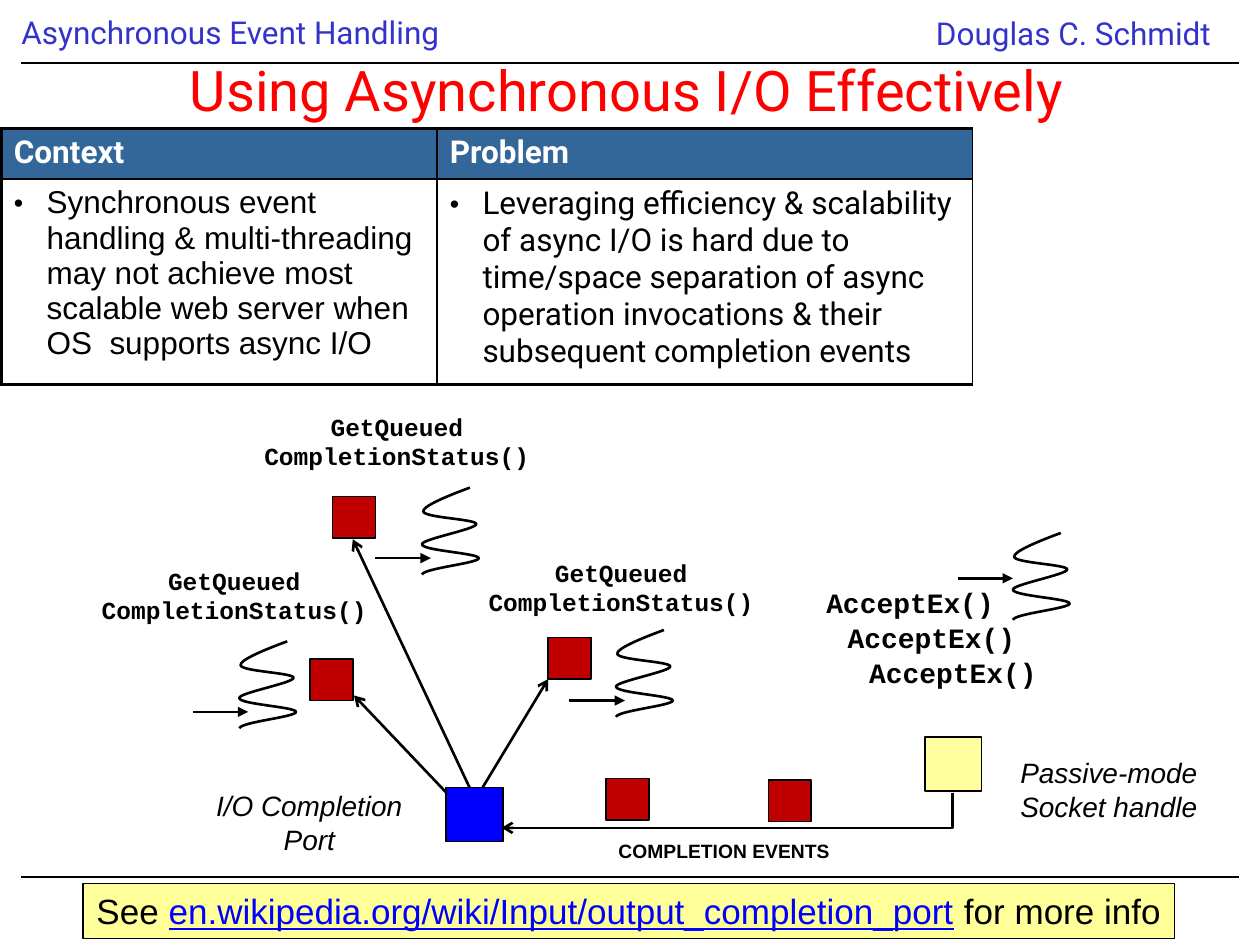
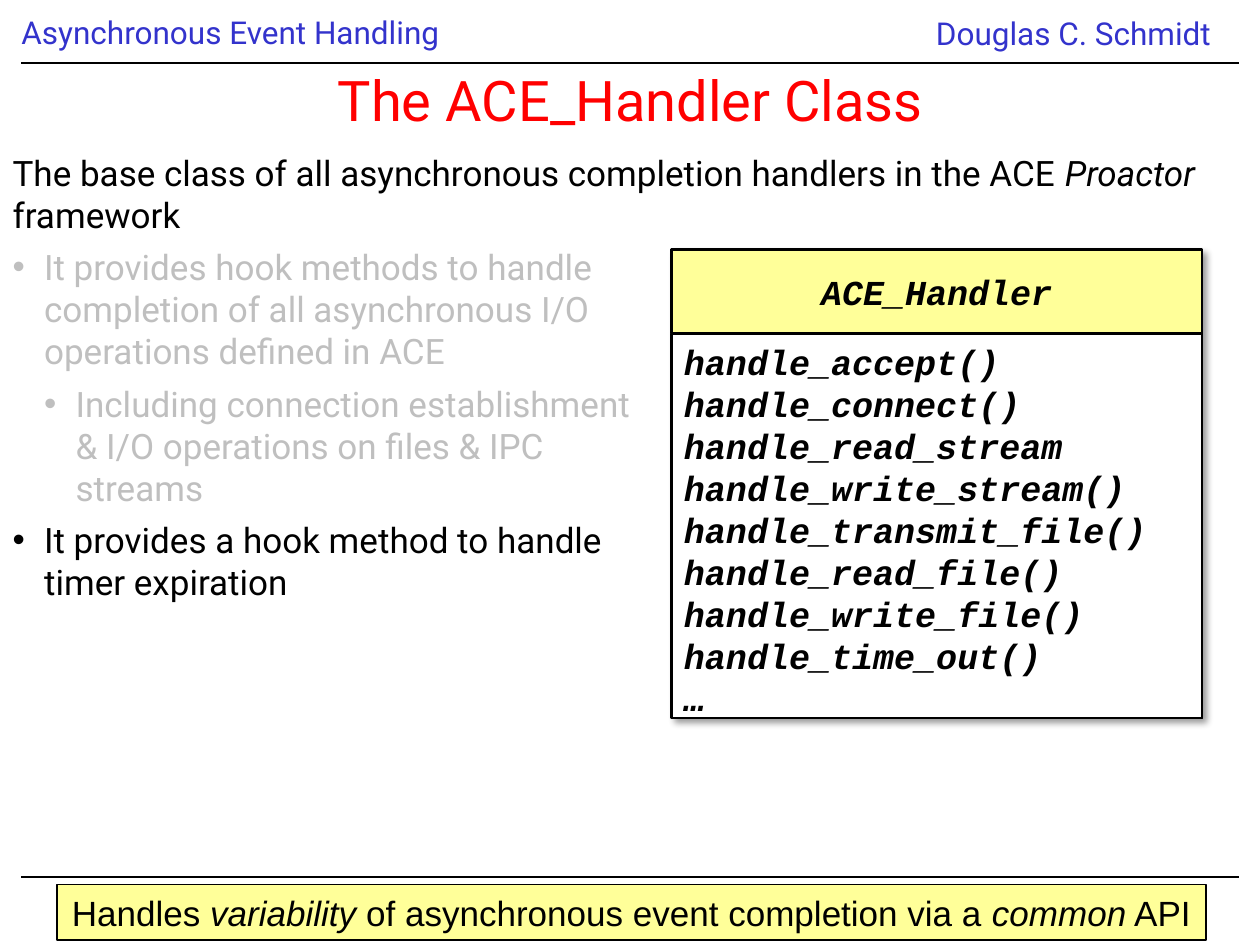
from lxml.etree import SubElement
from pptx import Presentation
from pptx.dml.color import RGBColor
from pptx.enum.shapes import MSO_CONNECTOR, MSO_SHAPE
from pptx.enum.text import MSO_ANCHOR, MSO_AUTO_SIZE, PP_ALIGN
from pptx.oxml import parse_xml
from pptx.oxml.ns import nsdecls, qn
from pptx.util import Inches, Pt

COLUMNS, ROWS = 100, 75  # square grid cells of a tenth of an inch
CELL = 0.1

BLACK, WHITE, RED, BLUE = "000000", "FFFFFF", "FF0000", "0000FF"
HEADER_BLUE, TABLE_BLUE = "3333CC", "336699"
EVENT_RED, PALE_YELLOW, FADED = "C00000", "FFFF99", "BFBFBF"

HEADER = dict(name="Roboto", size=18, color=HEADER_BLUE)
TITLE = dict(name="Roboto", size=32, color=RED)
BODY = dict(name="Roboto", size=20, color=BLACK)
COLUMN_HEAD = dict(name="Roboto", size=18, color=WHITE, bold=True)
CELL_TEXT = dict(name="Roboto", size=18, color=BLACK, bold=False)
CALLOUT = dict(name="Arial", size=20, color=BLACK)
CAPTION = dict(name="Arial", size=16, color=BLACK, italic=True)
EVENT_LABEL = dict(name="Arial", size=11, color=BLACK, bold=True)
CALL = dict(name="Courier New", size=14, color=BLACK, bold=True)
CLASS_CODE = dict(name="Courier New", size=20, color=BLACK, bold=True, italic=True)

EVENT_SIZE = (3.4, 3.3)
HANDLE_SIZE = (4.5, 4.3)
SQUIGGLE = [(3.9, 0), (2, 0.7), (0.1, 1.5), (0.2, 1.9), (0.3, 2.4), (4.5, 2.5),
            (4.4, 2.9), (4.4, 3.3), (0, 4.1), (0.1, 4.5), (0.1, 5), (4.6, 5.2),
            (4.6, 5.6), (4.6, 6), (0.2, 6.4), (0.1, 6.9)]


def grid(*cells):
    """Turn grid columns or rows into lengths."""
    return [Inches(cell * CELL) for cell in cells]


def rgb(color):
    return RGBColor.from_string(color)


def format_font(font, style):
    for attribute, value in style.items():
        if attribute == "color":
            font.color.rgb = rgb(value)
        else:
            setattr(font, attribute, Pt(value) if attribute == "size" else value)


def write_paragraph(paragraph, content, style, **layout):
    """Fill a paragraph with a string, or with (text, style changes) pairs."""
    for attribute, value in layout.items():
        setattr(paragraph, attribute, value)
    for text, changes in [(content, {})] if isinstance(content, str) else content:
        for number, line in enumerate(text.split("\n")):
            if number:
                paragraph.add_line_break()
            run = paragraph.add_run()
            run.text = line
            format_font(run.font, {**style, **changes})


def write(frame, contents, style, **layout):
    paragraphs = [frame.paragraphs[0]] + [frame.add_paragraph() for _ in contents[1:]]
    for paragraph, content in zip(paragraphs, contents):
        write_paragraph(paragraph, content, style, **layout)
    return paragraphs


def set_bullet(paragraph, hang, level=1, percent=100):
    properties = paragraph._p.get_or_add_pPr()
    properties.set("marL", str(Inches(hang * level)))
    properties.set("indent", str(-Inches(hang)))
    SubElement(properties, qn("a:buSzPct"), val=str(percent * 1000))
    SubElement(properties, qn("a:buFont"), typeface="Arial")
    SubElement(properties, qn("a:buChar"), char="•")


def add_text(slide, box, contents, style, wrap=True, margin=None, **layout):
    frame = slide.shapes.add_textbox(*grid(*box)).text_frame
    frame.word_wrap = wrap
    frame.auto_size = MSO_AUTO_SIZE.NONE if wrap else MSO_AUTO_SIZE.SHAPE_TO_FIT_TEXT
    if margin is not None:
        frame.margin_left = frame.margin_right = margin
    write(frame, contents, style, **layout)


def add_box(slide, box, fill, line_width=None):
    shape = slide.shapes.add_shape(MSO_SHAPE.RECTANGLE, *grid(*box))
    shape.shadow.inherit = False
    shape.fill.solid()
    shape.fill.fore_color.rgb = rgb(fill)
    if line_width is None:
        shape.line.fill.background()
    else:
        shape.line.color.rgb = rgb(BLACK)
        shape.line.width = Pt(line_width)
    return shape


def add_text_box(slide, box, fill, line_width, contents, style,
                 anchor=MSO_ANCHOR.MIDDLE, alignment=PP_ALIGN.CENTER):
    frame = add_box(slide, box, fill, line_width).text_frame
    frame.word_wrap = True
    frame.vertical_anchor = anchor
    write(frame, contents, style, alignment=alignment)


def add_shadow(shape):
    shape.element.spPr.find(qn("a:effectLst")).append(parse_xml(
        f'<a:outerShdw {nsdecls("a")} blurRad="{Pt(4)}" dist="{Pt(3)}" dir="2700000">'
        f'<a:srgbClr val="{BLACK}"><a:alpha val="40000"/></a:srgbClr></a:outerShdw>'))


def add_line(slide, start, end, width=1.5, head=None, kind=MSO_CONNECTOR.STRAIGHT):
    connector = slide.shapes.add_connector(kind, *grid(*start, *end))
    connector.line.color.rgb = rgb(BLACK)
    connector.line.width = Pt(width)
    properties = connector.element.spPr
    if head:
        SubElement(properties.find(qn("a:ln")), qn("a:tailEnd"), type=head)
    SubElement(properties, qn("a:effectLst"))
    return connector


def add_down_left_arrow(slide, start, end):
    """Draw an elbow that goes down from start, then left to end."""
    center_x, center_y = (start[0] + end[0]) / 2, (start[1] + end[1]) / 2
    half_width, half_height = (end[1] - start[1]) / 2, (start[0] - end[0]) / 2
    connector = add_line(slide, (center_x - half_width, center_y - half_height),
                         (center_x + half_width, center_y + half_height),
                         head="arrow", kind=MSO_CONNECTOR.ELBOW)
    properties = connector.element.spPr
    properties.find(qn("a:xfrm")).set("rot", str(90 * 60000))
    properties.find(qn("a:prstGeom")).set("prst", "bentConnector2")


def add_thread(slide, left, top, arrow_left, arrow_drop):
    """Draw a squiggle with an arrow that points into it."""
    points = [tuple(grid(left + x, top + y)) for x, y in SQUIGGLE]
    builder = slide.shapes.build_freeform(*points[0])
    builder.add_line_segments(points[1:], close=False)
    squiggle = builder.convert_to_shape()
    squiggle.shadow.inherit = False
    squiggle.fill.background()
    squiggle.line.color.rgb = rgb(BLACK)
    squiggle.line.width = Pt(1.5)
    path = next(squiggle.element.iter(qn("a:path")))
    segments = path.findall(qn("a:lnTo"))
    for first in range(0, len(segments), 3):
        curve = SubElement(path, qn("a:cubicBezTo"))
        for segment in segments[first:first + 3]:
            curve.append(segment[0])
            path.remove(segment)
    row = top + arrow_drop
    add_line(slide, (left + arrow_left, row), (left + arrow_left + 4.4, row),
             head="triangle")


def set_borders(cell, **widths):
    properties = cell._tc.get_or_add_tcPr()
    for index, side in enumerate("LRTB"):
        properties.insert(index, parse_xml(
            f'<a:ln{side} {nsdecls("a")} w="{Pt(widths.get(side, 1))}"><a:solidFill>'
            f'<a:srgbClr val="{BLACK}"/></a:solidFill></a:ln{side}>'))


def add_context_table(slide, box, widths, heights, columns):
    """Draw a table of (heading, bullet text, bullet font) columns."""
    table = slide.shapes.add_table(2, len(columns), *grid(*box)).table
    table.horz_banding = False
    for row, height in zip(table.rows, grid(*heights)):
        row.height = height
    for index, (heading, text, font) in enumerate(columns):
        table.columns[index].width = grid(widths[index])[0]
        head, body = table.cell(0, index), table.cell(1, index)
        head.fill.solid()
        head.fill.fore_color.rgb = rgb(TABLE_BLUE)
        body.fill.background()
        left = 1 if index else 2.25
        set_borders(head, L=left, T=2.25)
        set_borders(body, L=left, B=2.25)
        write(head.text_frame, [heading], COLUMN_HEAD)
        set_bullet(body.text_frame.paragraphs[0], 0.26, percent=85)
        write(body.text_frame, [text], {**CELL_TEXT, "name": font})


def place(shape, box):
    for attribute, value in zip(("left", "top", "width", "height"), grid(*box)):
        setattr(shape, attribute, value)
    shape.text_frame.auto_size = MSO_AUTO_SIZE.NONE


def start_slide(presentation, layout, title, title_box, band_top):
    """Add a slide with its title, running header, rules and footer band."""
    slide = presentation.slides.add_slide(presentation.slide_layouts[layout])
    add_text(slide, (1.7, 0.9, 59.2, 3.7), ["Asynchronous Event Handling"], HEADER,
             margin=0, line_spacing=0.9)
    for row in (5, 69.6):
        add_line(slide, (1.7, row), (98.3, row), 0.75)
    add_text(slide, (73.3, 0.6, 25.1, 4), ["Douglas C. Schmidt"], HEADER)
    add_box(slide, (0, band_top, COLUMNS, ROWS - band_top), WHITE)
    place(slide.shapes.title, title_box)
    frame = slide.shapes.title.text_frame
    frame.vertical_anchor = MSO_ANCHOR.MIDDLE
    write(frame, [title], TITLE, alignment=PP_ALIGN.CENTER)
    return slide


def build_asynchronous_io(presentation):
    slide = start_slide(presentation, 5, "Using Asynchronous I/O Effectively",
                        (-5.5, 2.1, 110.5, 10), 69.9)
    add_context_table(slide, (0.1, 10.2, 77.1, 20.3), (34.6, 42.5), (4, 16.3), [
        ("Context", "Synchronous event handling & multi-threading may not achieve most "
         "scalable web server when OS  supports async I/O", "Arial"),
        ("Problem", "Leveraging efficiency & scalability of async I/O is hard due to "
         "time/space separation of async operation invocations & their subsequent "
         "completion events", "Roboto")])

    for left, top in ((18.9, 50.9), (33.4, 38.7), (48.8, 50)):
        add_thread(slide, left, top, -3.6, 5.6)
    add_thread(slide, 80.3, 42.3, -4.3, 3.6)
    for left, top in ((7, 44.4), (19.9, 32.2), (37.7, 43.8)):
        add_text(slide, (left, top, 23.2, 5.7), ["GetQueued", "CompletionStatus()"],
                 CALL, wrap=False, alignment=PP_ALIGN.CENTER)
    for step in range(3):
        add_text(slide, (64.6 + 1.7 * step, 46 + 2.77 * step, 15.4, 3.7),
                 ["AcceptEx()"], {**CALL, "size": 16}, wrap=False)

    for start, end in (((35.7, 63.2), (28.1, 55.2)), ((37.5, 63), (28, 42.8)),
                       ((38, 63), (43.5, 53.9))):
        add_line(slide, start, end, head="arrow")
    add_down_left_arrow(slide, (75.6, 62.9), (39.8, 65.7))
    for corner in ((26.4, 39.4), (24.6, 52.3), (43.5, 50.6), (48.1, 61.8), (61, 61.9)):
        add_box(slide, corner + EVENT_SIZE, EVENT_RED, 1)
    add_box(slide, (35.4, 62.5) + HANDLE_SIZE, BLUE, 1)
    add_box(slide, (73.4, 58.5) + HANDLE_SIZE, "FFFF9F", 1)

    add_text(slide, (13, 62.1, 23.1, 6.4), ["I/O Completion", "Port"], CAPTION,
             alignment=PP_ALIGN.CENTER)
    add_text(slide, (79.2, 59.5, 17.6, 6.4), ["Passive-mode Socket handle"], CAPTION,
             alignment=PP_ALIGN.CENTER)
    add_text(slide, (48.1, 66.1, 18.8, 2.9), ["COMPLETION EVENTS"], EVENT_LABEL, wrap=False)
    add_text_box(slide, (6.6, 70.1, 86.6, 4.4), PALE_YELLOW, 0.75, [[
        ("See ", {}),
        ("en.wikipedia.org/wiki/Input/output_completion_port",
         dict(color=BLUE, underline=True)),
        (" for more info", {})]], CALLOUT)


def build_handler_class(presentation):
    slide = start_slide(presentation, 1, "The ACE_Handler Class",
                        (1.7, 5.8, 96.7, 4.2), 69.7)
    italic, faded = dict(italic=True), dict(color=FADED)
    body = slide.placeholders[1]
    place(body, (0, 11.5, COLUMNS, 37.2))
    paragraphs = write(body.text_frame, [
        [("The base class of all asynchronous completion handlers in the ACE ", {}),
         ("Proactor ", italic), ("framework", {})],
        [("It provides hook methods to handle\ncompletion of all asynchronous I/O\n"
          "operations defined in ACE", faded)],
        [("Including connection establishment\n& I/O operations on files & IPC\n"
          "streams", faded)],
        "It provides a hook method to handle\ntimer expiration",
    ], BODY, space_before=Pt(0), space_after=Pt(6))
    lead, *points = paragraphs
    lead_properties = lead._p.get_or_add_pPr()
    lead_properties.set("marL", "0")
    lead_properties.set("indent", "0")
    SubElement(lead_properties, qn("a:buNone"))
    for point, level in zip(points, (1, 2, 1)):
        set_bullet(point, 0.25, level)

    left, top, width, name_height, methods_height = 53.3, 19.8, 42.1, 6.7, 30.5
    add_shadow(add_box(slide, (left, top, width, name_height + methods_height),
                       WHITE, 0.75))
    add_text_box(slide, (left, top + name_height, width, methods_height), WHITE, 1.5, [
        "handle_accept()", "handle_connect()", "handle_read_stream",
        "handle_write_stream()", "handle_transmit_file()", "handle_read_file()",
        "handle_write_file()", "handle_time_out()", "…",
    ], CLASS_CODE, MSO_ANCHOR.TOP, PP_ALIGN.LEFT)
    add_text_box(slide, (left, top, width, name_height), PALE_YELLOW, 1.5,
                 ["ACE_Handler"], CLASS_CODE)
    add_text_box(slide, (4.5, 70.2, 91.2, 4.4), PALE_YELLOW, 1, [[
        ("Handles ", {}), ("variability", italic),
        (" of asynchronous event completion via a ", {}),
        ("common", italic), (" API", {})]], CALLOUT)


def main():
    presentation = Presentation()
    presentation.slide_width, presentation.slide_height = grid(COLUMNS, ROWS)
    build_asynchronous_io(presentation)
    build_handler_class(presentation)
    presentation.save("out.pptx")


if __name__ == "__main__":
    main()
